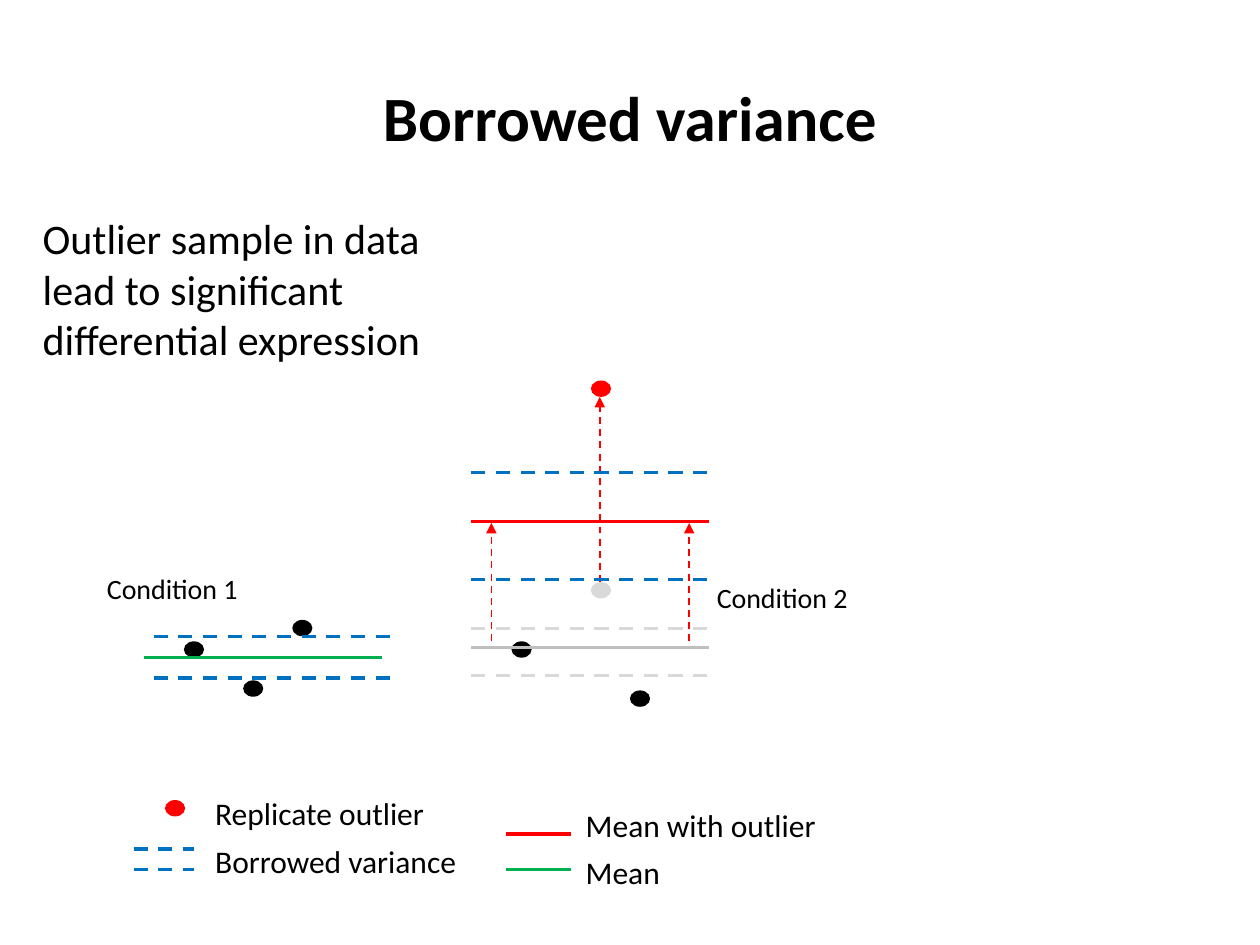
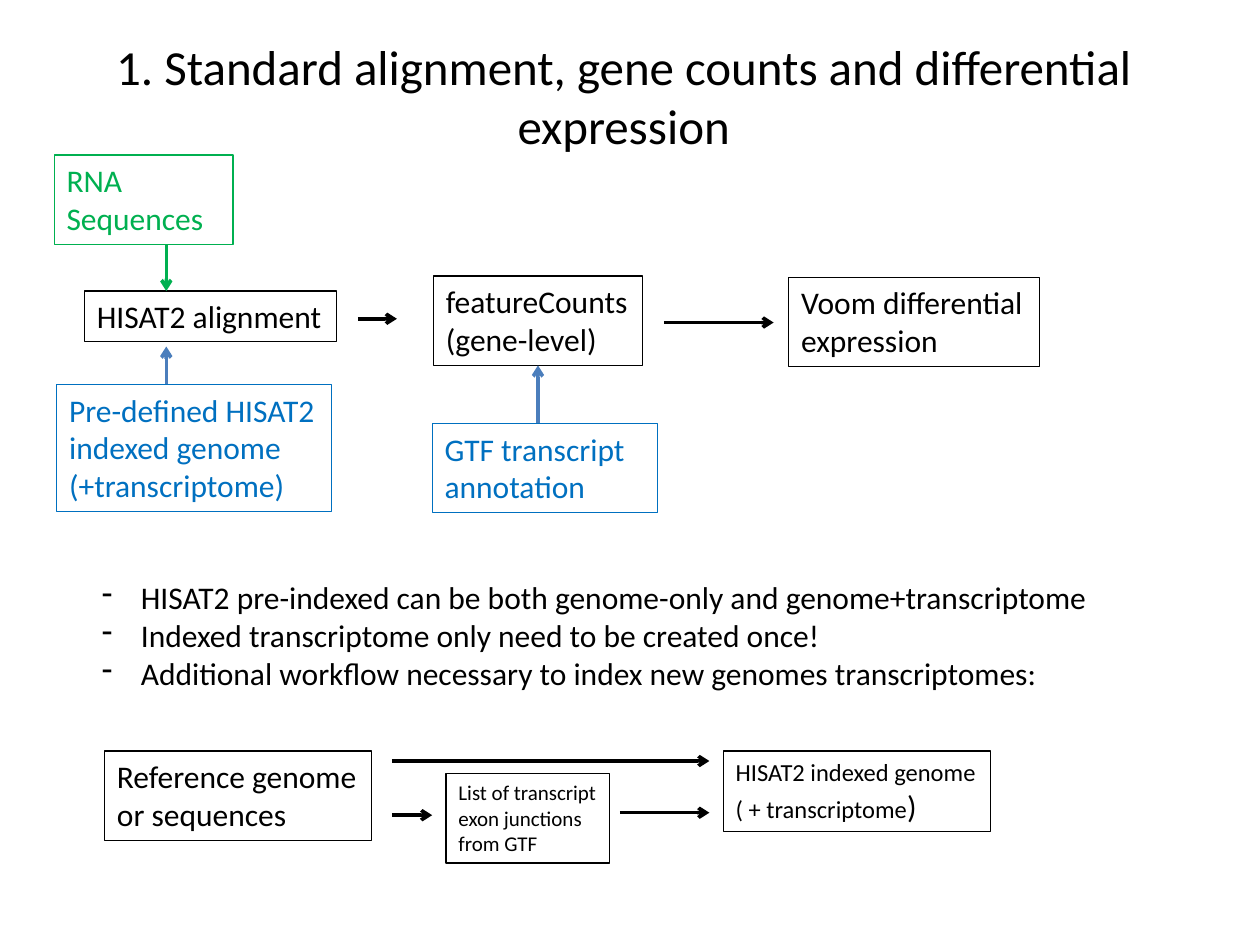
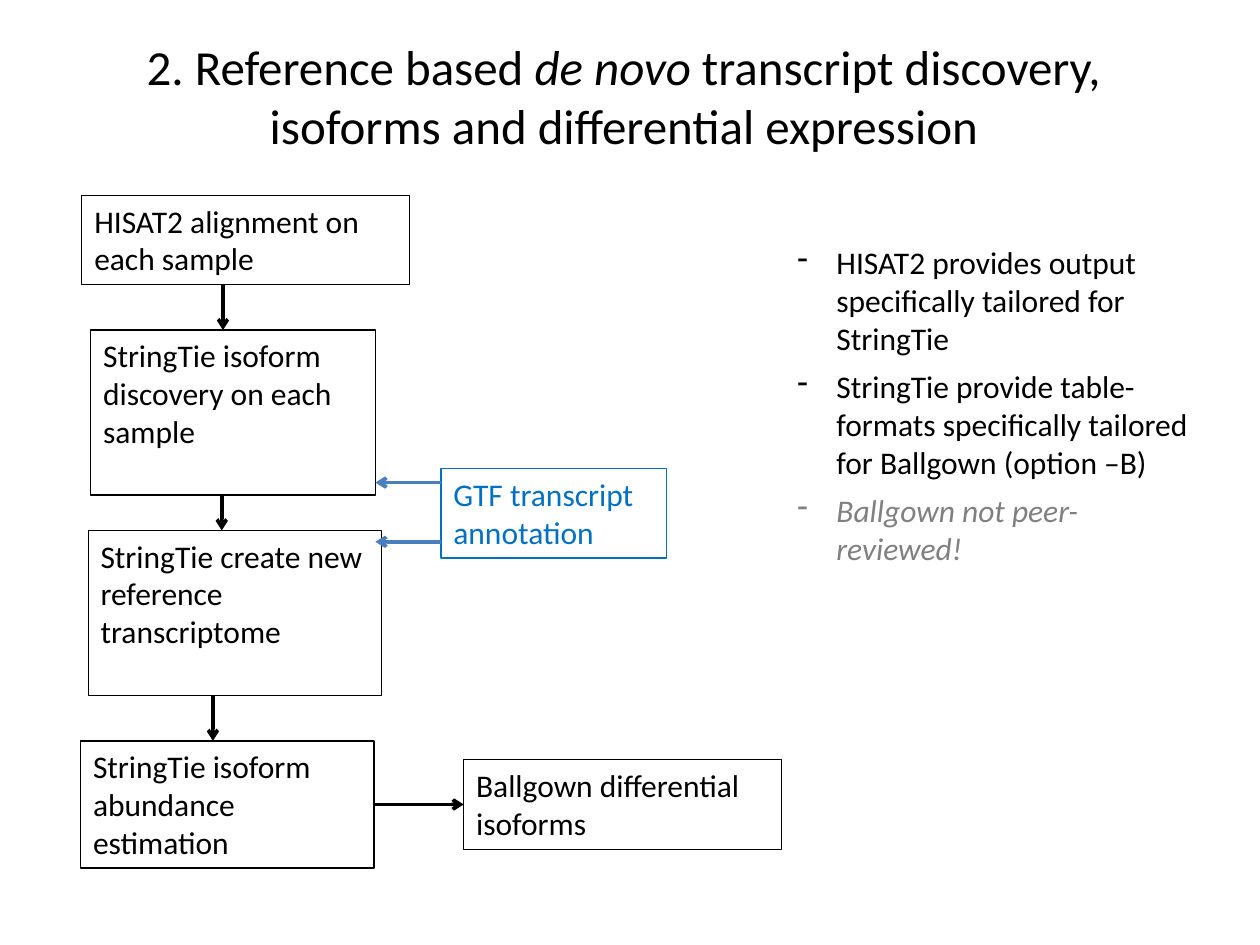
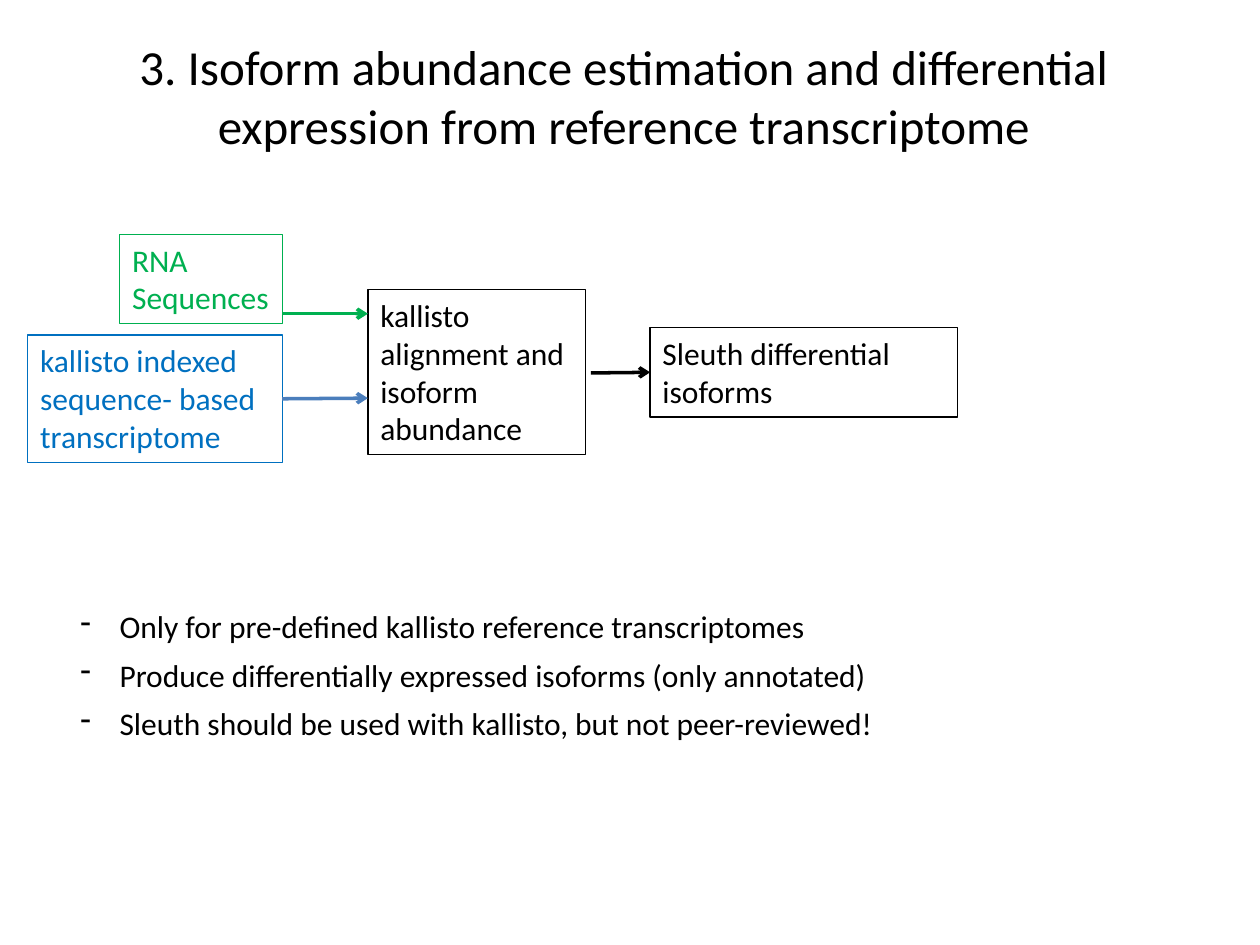
from dataclasses import dataclass

from lxml.etree import SubElement
from pptx import Presentation
from pptx.dml.color import RGBColor
from pptx.enum.dml import MSO_LINE
from pptx.enum.shapes import MSO_CONNECTOR, MSO_SHAPE
from pptx.enum.text import MSO_ANCHOR, PP_ALIGN
from pptx.oxml.ns import qn
from pptx.util import Inches, Pt

FONT = "Calibri"
BLACK, RED, GREEN, BLUE = "000000", "FF0000", "00B050", "0070C0"
ARROW_BLUE, GRAY, MID_GRAY, PALE_GRAY = "4B7EBC", "808080", "BFBFBF", "D9D9D9"
ROW_HEIGHT = {rows: round(0.1 + 0.303 * rows, 2) for rows in range(1, 5)}
TOP, LEFT, BOTTOM, RIGHT = range(4)


@dataclass
class Box:
    """A rectangle on the page, in inches."""
    left: float
    top: float
    width: float
    height: float

    def inside(self, left, top, width, height):
        """Return a box placed relative to this one."""
        return Box(self.left + left, self.top + top, width, height)

    def lengths(self):
        """Return left, top, width and height as slide lengths."""
        return [Inches(value) for value in (self.left, self.top, self.width, self.height)]


TITLE_BOX = Box(0.45, 0.13, 9, 1.25)


def paint(color):
    """Turn a hex string into a colour."""
    return RGBColor.from_string(color)


def style(span, size, color=BLACK, bold=False, italic=False):
    """Format one run."""
    span.font.name, span.font.size = FONT, Pt(size)
    span.font.color.rgb = paint(color)
    span.font.bold, span.font.italic = bold, italic


def append(para, text, size, color=BLACK, italic=False):
    """Add a run with its own look to a paragraph."""
    span = para.add_run()
    span.text = text
    style(span, size, color, italic=italic)


def write(shape, text, size, color=BLACK, bold=False, align=PP_ALIGN.LEFT, wrap=True):
    """Put text into a shape and format all of it."""
    frame = shape.text_frame
    frame.text = text
    frame.word_wrap = wrap
    frame.vertical_anchor = MSO_ANCHOR.TOP
    for para in frame.paragraphs:
        para.alignment = align
        for span in para.runs:
            style(span, size, color, bold)
    return frame


def label(page, box, text, size=18, wrap=False):
    """Add a plain text box."""
    return write(page.shapes.add_textbox(*box.lengths()), text, size, wrap=wrap)


def title(page, text, box=TITLE_BOX, size=28, bold=False):
    """Add the centred title and return its paragraph."""
    shape = page.shapes.add_textbox(*box.lengths())
    frame = write(shape, text, size, bold=bold, align=PP_ALIGN.CENTER)
    frame.vertical_anchor = MSO_ANCHOR.MIDDLE
    return frame.paragraphs[0]


def bullets(page, box, lines, space_after=0, wrap=True):
    """Add a list with dashes and return its paragraphs."""
    frame = label(page, box, "\n".join(lines), wrap=wrap)
    for para in frame.paragraphs:
        para.space_after = Pt(space_after)
        properties = para._p.get_or_add_pPr()
        properties.set("marL", str(Inches(0.31)))
        properties.set("indent", str(-Inches(0.31)))
        SubElement(properties, qn("a:buChar")).set("char", "-")
    return frame.paragraphs


def step(page, box, text, color=BLACK, size=18, wrap=True):
    """Add an outlined workflow step."""
    shape = page.shapes.add_shape(MSO_SHAPE.RECTANGLE, *box.lengths())
    shape.shadow.inherit = False
    shape.fill.background()
    shape.line.color.rgb = paint(color)
    shape.line.width = Pt(0.75)
    write(shape, text, size, color, wrap=wrap)
    return shape


def dot(page, box, left, top, color=BLACK):
    """Add a replicate dot."""
    shape = page.shapes.add_shape(MSO_SHAPE.OVAL, *box.inside(left, top, 0.16, 0.13).lengths())
    shape.shadow.inherit = False
    shape.fill.solid()
    shape.fill.fore_color.rgb = paint(color)
    shape.line.fill.background()


def stroke(page, box, start, end, color=BLACK, width=2, dashed=False, tip=None):
    """Add a straight line between two points of a box."""
    points = [Inches(value) for x, y in (start, end) for value in (box.left + x, box.top + y)]
    line = page.shapes.add_connector(MSO_CONNECTOR.STRAIGHT, *points)
    line.line.color.rgb = paint(color)
    line.line.width = Pt(width)
    if dashed:
        line.line.dash_style = MSO_LINE.DASH
    if tip:
        SubElement(line.line._get_or_add_ln(), qn("a:tailEnd")).set("type", tip)
    SubElement(line._element.spPr, qn("a:effectLst"))
    return line


def arrow(page, box, start, end, color=BLACK):
    """Add a workflow arrow."""
    return stroke(page, box, start, end, color, tip="arrow")


def level(page, box, left, top, color, dashed=False):
    """Add a horizontal mean or variance line."""
    stroke(page, box, (left, top), (left + 1.89, top), color, dashed=dashed)


def first_condition(page, box):
    """Draw the replicates without an outlier."""
    for left, top in ((0.71, 0.6), (1.18, 0.91), (1.57, 0.43)):
        dot(page, box, left, top)
    level(page, box, 0.39, 0.73, GREEN)
    for top in (0.56, 0.89):
        level(page, box, 0.47, top, BLUE, dashed=True)
    label(page, box.inside(0, 0, 1.25, 0.37), "Condition 1", 16)


def second_condition(page, box):
    """Draw the replicates with the shift caused by an outlier."""
    for left, top, color in ((0.32, 2.07, BLACK), (0.95, 1.6, PALE_GRAY),
                             (1.26, 2.46, BLACK), (0.95, 0, RED)):
        dot(page, box, left, top, color)
    for left, base, tip in ((1.02, 1.6, 0.13), (0.16, 2.07, 1.13), (1.73, 2.07, 1.13)):
        stroke(page, box, (left, base), (left, tip), RED, 1, True, "triangle")
    for top, color in ((2.12, MID_GRAY), (1.12, RED)):
        level(page, box, 0, top, color)
    for top, color in ((2.34, PALE_GRAY), (1.97, PALE_GRAY), (1.58, BLUE), (0.73, BLUE)):
        level(page, box, 0, top, color, dashed=True)
    label(page, box.inside(1.85, 1.54, 1.25, 0.37), "Condition 2", 16)


def legend(page, box):
    """Explain the dots and lines."""
    dot(page, box, 0.25, 0.1, RED)
    for top in (0.49, 0.65):
        stroke(page, box, (0, top), (0.48, top), BLUE, dashed=True)
    for top, color in ((0.37, RED), (0.65, GREEN)):
        stroke(page, box, (2.96, top), (3.47, top), color)
    for left, top, width, text in ((0.55, 0, 1.88, "Replicate outlier"),
                                   (0.55, 0.38, 2.14, "Borrowed variance"),
                                   (3.49, 0.1, 2.05, "Mean with outlier"),
                                   (3.49, 0.47, 0.8, "Mean")):
        label(page, box.inside(left, top, width, 0.4), text)


def alignment_flow(page, box):
    """Draw the standard workflow from sequences to expression."""
    step(page, box.inside(0.24, 1.08, 2, ROW_HEIGHT[1]), "HISAT2 alignment", wrap=False)
    counts = step(page, box.inside(3.01, 0.96, 1.66, ROW_HEIGHT[2]),
                  "featureCounts\n(gene-level)", wrap=False)
    step(page, box.inside(5.83, 0.97, 1.99, ROW_HEIGHT[2]),
         "Voom differential\nexpression", wrap=False)
    step(page, box.inside(3, 2.13, 1.79, ROW_HEIGHT[2]), "GTF transcript annotation", BLUE)
    step(page, box.inside(0.02, 1.82, 2.18, ROW_HEIGHT[3]),
         "Pre-defined HISAT2 indexed genome (+transcriptome)", BLUE)
    step(page, box.inside(0, 0, 1.42, ROW_HEIGHT[2]), "RNA Sequences", GREEN)
    arrow(page, box, (2.41, 1.3), (2.72, 1.3))
    arrow(page, box, (4.84, 1.33), (5.71, 1.33))
    arrow(page, box, (3.84, 2.13), (3.84, 1.67), ARROW_BLUE).end_connect(counts, BOTTOM)
    arrow(page, box, (0.89, 1.82), (0.89, 1.52), ARROW_BLUE)
    arrow(page, box, (0.89, 0.71), (0.89, 1.08), GREEN)


def indexing_flow(page, box):
    """Draw the workflow that indexes a new genome."""
    step(page, box.inside(0, 0, 2.12, ROW_HEIGHT[2]), "Reference genome or sequences")
    indexed = step(page, box.inside(4.91, 0, 2.12, 0.64),
                   "HISAT2 indexed genome ( + transcriptome", size=14)
    append(indexed.text_frame.paragraphs[0], ")", 18)
    step(page, box.inside(2.71, 0.18, 1.3, 0.71),
         "List of transcript exon junctions from GTF", size=12)
    for start, end, top in ((2.28, 4.8, 0.08), (2.28, 2.6, 0.51), (4.09, 4.8, 0.49)):
        arrow(page, box, (start, top), (end, top))


def discovery_flow(page, box):
    """Draw the workflow for transcript discovery."""
    step(page, box.inside(0.01, 0, 2.6, ROW_HEIGHT[2]), "HISAT2 alignment on each sample")
    step(page, box.inside(0.08, 1.07, 2.26, ROW_HEIGHT[4]),
         "StringTie isoform discovery on each sample")
    step(page, box.inside(0.06, 2.66, 2.33, ROW_HEIGHT[4]),
         "StringTie create new reference transcriptome")
    abundance = step(page, box.inside(0, 4.33, 2.33, ROW_HEIGHT[3]),
                     "StringTie isoform abundance estimation")
    isoforms = step(page, box.inside(3.04, 4.48, 2.52, ROW_HEIGHT[2]),
                    "Ballgown differential isoforms")
    step(page, box.inside(2.86, 2.17, 1.79, ROW_HEIGHT[2]), "GTF transcript annotation", BLUE)
    for left, start, end in ((1.13, 0.71, 1.07), (1.12, 2.38, 2.66), (1.05, 3.97, 4.33)):
        arrow(page, box, (left, start), (left, end))
    for top in (2.28, 2.75):
        arrow(page, box, (2.86, top), (2.34, top), ARROW_BLUE)
    link = arrow(page, box, (2.33, 4.84), (3.04, 4.84))
    link.begin_connect(abundance, RIGHT)
    link.end_connect(isoforms, LEFT)


def abundance_flow(page, box):
    """Draw the workflow for isoform abundance."""
    step(page, box.inside(2.7, 0.44, 1.73, ROW_HEIGHT[4]),
         "kallisto alignment and\nisoform\nabundance")
    sleuth = step(page, box.inside(4.94, 0.74, 2.44, ROW_HEIGHT[2]),
                  "Sleuth differential isoforms")
    indexed = step(page, box.inside(0, 0.8, 2.02, ROW_HEIGHT[3]),
                   "kallisto indexed sequence- based transcriptome", BLUE)
    step(page, box.inside(0.73, 0, 1.29, ROW_HEIGHT[2]), "RNA Sequences", GREEN)
    arrow(page, box, (4.47, 1.1), (4.94, 1.1)).end_connect(sleuth, LEFT)
    arrow(page, box, (2.02, 1.3), (2.7, 1.3), ARROW_BLUE).begin_connect(indexed, RIGHT)
    arrow(page, box, (2.02, 0.63), (2.7, 0.63), GREEN)


def variance_slide(page):
    """Build the slide on borrowed variance."""
    title(page, "Borrowed variance", Box(0.5, 0.3, 9, 1.25), 36, True)
    first_condition(page, Box(0.75, 4.49, 2.36, 1.04))
    second_condition(page, Box(3.74, 3.02, 3.1, 2.59))
    legend(page, Box(1.06, 6.25, 5.54, 0.87))
    message = label(page, Box(0.24, 1.64, 3.25, 1.78),
                    "Outlier sample in data lead to significant differential expression",
                    24, wrap=True)
    message.paragraphs[0].space_after = Pt(12)


def alignment_slide(page):
    """Build the slide on standard alignment."""
    title(page, "1. Standard alignment, gene counts and differential expression")
    alignment_flow(page, Box(0.43, 1.23, 7.82, 2.84))
    bullets(page, Box(0.71, 4.54, 8.12, 1.01), [
        "HISAT2 pre-indexed can be both genome-only and genome+transcriptome",
        "Indexed transcriptome only need to be created once!",
        "Additional workflow necessary to index new genomes transcriptomes:",
    ], wrap=False)
    indexing_flow(page, Box(0.83, 5.96, 7.03, 0.89))


def discovery_slide(page):
    """Build the slide on transcript discovery."""
    heading = title(page, "2. Reference based ")
    append(heading, "de novo ", 28, italic=True)
    append(heading, "transcript discovery, isoforms and differential expression", 28)
    discovery_flow(page, Box(0.64, 1.55, 5.56, 5.34))
    notes = bullets(page, Box(6.23, 1.88, 3.31, 2.69), [
        "HISAT2 provides output specifically tailored for StringTie",
        "StringTie provide table-formats specifically tailored for Ballgown (option –B)",
        "Ballgown not peer-reviewed!",
    ], space_after=6)
    style(notes[-1].runs[0], 18, GRAY, italic=True)


def abundance_slide(page):
    """Build the slide on isoform abundance."""
    title(page, "3. Isoform abundance estimation and differential expression "
                "from reference transcriptome")
    abundance_flow(page, Box(0.22, 1.86, 7.38, 1.81))
    bullets(page, Box(0.54, 4.77, 8.11, 1.18), [
        "Only for pre-defined kallisto reference transcriptomes",
        "Produce differentially expressed isoforms (only annotated)",
        "Sleuth should be used with kallisto, but not peer-reviewed!",
    ], space_after=6)


def main():
    """Build and save the deck."""
    deck = Presentation()
    deck.slide_width, deck.slide_height = Inches(10), Inches(7.5)
    for build in (variance_slide, alignment_slide, discovery_slide, abundance_slide):
        build(deck.slides.add_slide(deck.slide_layouts[6]))
    deck.save("out.pptx")


if __name__ == "__main__":
    main()
